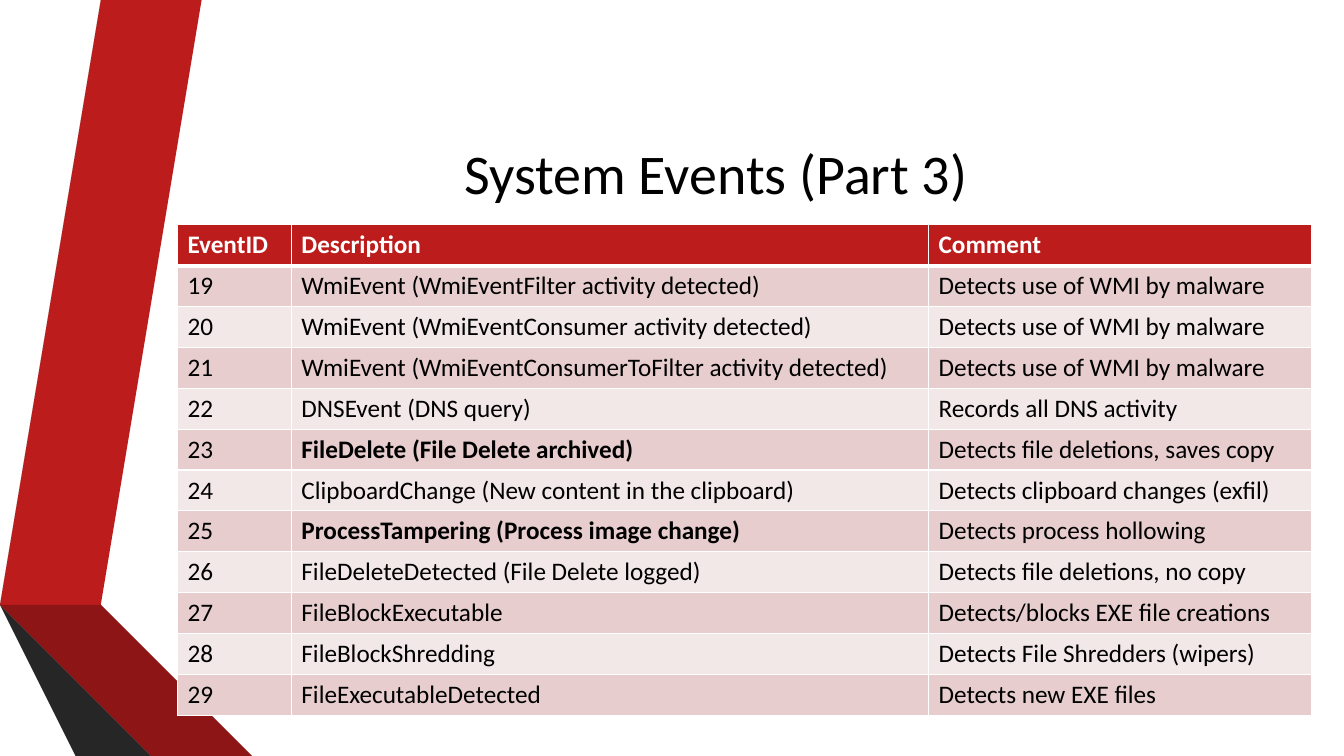
from lxml import etree
from pptx import Presentation
from pptx.dml.color import RGBColor
from pptx.enum.text import MSO_ANCHOR, PP_ALIGN
from pptx.oxml.ns import qn
from pptx.util import Inches, Pt

MIDDLE, CENTER = MSO_ANCHOR.MIDDLE, PP_ALIGN.CENTER
WIDE, HIGH = 13.33, 7.5
FONT = "Calibri"
BLACK, WHITE, RED = "000000", "FFFFFF", "BC1C1C"
BANDS = ("E7CDCD", "F3E8E8")

TITLE = "System Events (Part 3)"
HEADS = ("EventID", "Description", "Comment")
FIRST_ID = 19
EVENTS = [
    ("WmiEvent (WmiEventFilter activity detected)", "Detects use of WMI by malware"),
    ("WmiEvent (WmiEventConsumer activity detected)", "Detects use of WMI by malware"),
    ("WmiEvent (WmiEventConsumerToFilter activity detected)", "Detects use of WMI by malware"),
    ("DNSEvent (DNS query)", "Records all DNS activity"),
    ("FileDelete (File Delete archived)", "Detects file deletions, saves copy"),
    ("ClipboardChange (New content in the clipboard)", "Detects clipboard changes (exfil)"),
    ("ProcessTampering (Process image change)", "Detects process hollowing"),
    ("FileDeleteDetected (File Delete logged)", "Detects file deletions, no copy"),
    ("FileBlockExecutable", "Detects/blocks EXE file creations"),
    ("FileBlockShredding", "Detects File Shredders (wipers)"),
    ("FileExecutableDetected", "Detects new EXE files"),
]
BOLD_IDS = (23, 25)
COLS = (1.13, 6.32, 3.8)
ROW = 4.87 / (len(EVENTS) + 1)

# Ribbon corners in inches; the bands run off the top and bottom edges
RIBBONS = [
    (RED, [(0.5, 5.78), (0.77, 5.83), (1.73, 0), (1.45, 0)]),
    ("595959", [(1.39, 0), (1.11, 0), (0.16, 5.73), (0.44, 5.77)]),
    ("262626", [(0.16, 5.73), (1.45, HIGH), (1.51, HIGH)]),
    ("5E0E0E", [(0.5, 5.79), (2.08, HIGH), (2.14, HIGH)]),
    ("8D1515", [(0.5, 5.78), (2.14, HIGH), (2.83, HIGH), (0.77, 5.83)]),
    ("404040", [(2.02, HIGH), (0.48, 5.83), (0.43, 5.77), (0.16, 5.73), (1.51, HIGH)]),
]


def color(code):
    return RGBColor.from_string(code)


def style(para, size, code, bold=False):
    for run in para.runs:
        font = run.font
        font.name, font.size, font.bold = FONT, Pt(size), bold
        font.color.rgb = color(code)


def add_ribbon(slide, code, points):
    pen = slide.shapes.build_freeform(*points[0], scale=Inches(1))
    pen.add_line_segments(points[1:], close=True)
    shape = pen.convert_to_shape()
    shape.shadow.inherit = False
    shape.fill.solid()
    shape.fill.fore_color.rgb = color(code)
    shape.line.fill.background()


def add_edges(cell, widths):
    """Draw white cell borders, given as a dict of side to points."""
    props = cell._tc.get_or_add_tcPr()
    for side, width in widths.items():
        line = etree.SubElement(props, qn("a:ln" + side), w=str(Pt(width)))
        fill = etree.SubElement(line, qn("a:solidFill"))
        etree.SubElement(fill, qn("a:srgbClr"), val=WHITE)


def fill_cell(cell, text, back, code, bold, top, bottom):
    add_edges(cell, {"L": 1, "R": 1, "T": top, "B": bottom})
    cell.fill.solid()
    cell.fill.fore_color.rgb = color(back)
    cell.text_frame.text = text
    style(cell.text_frame.paragraphs[0], 18, code, bold)


def add_events(slide):
    rows = [(str(FIRST_ID + i), *event) for i, event in enumerate(EVENTS)]
    frame = slide.shapes.add_table(
        len(rows) + 1, len(COLS), Inches(1.76), Inches(2.23),
        Inches(sum(COLS)), Inches(ROW * (len(rows) + 1)))
    table = frame.table
    for col, width in zip(table.columns, COLS):
        col.width = Inches(width)
    for row in table.rows:
        row.height = Inches(ROW)
    for c, head in enumerate(HEADS):
        fill_cell(table.cell(0, c), head, RED, WHITE, True, 1, 3)
    for r, row in enumerate(rows, 1):
        for c, text in enumerate(row):
            bold = c == 1 and int(row[0]) in BOLD_IDS
            fill_cell(table.cell(r, c), text, BANDS[(r - 1) % 2], BLACK,
                      bold, 3 if r == 1 else 1, 1)


def add_title(slide):
    title = slide.shapes.title
    title.left, title.top = Inches(1.62), Inches(0.75)
    title.width, title.height = Inches(10.96), Inches(1.92)
    frame = title.text_frame
    frame.text = TITLE
    frame.vertical_anchor = MIDDLE
    frame.paragraphs[0].alignment = CENTER
    style(frame.paragraphs[0], 40, BLACK)
    slide.shapes._spTree.append(title._element)  # bring above the ribbons


def main():
    deck = Presentation()
    deck.slide_width, deck.slide_height = Inches(WIDE), Inches(HIGH)
    slide = deck.slides.add_slide(deck.slide_layouts[5])
    for code, points in RIBBONS:
        add_ribbon(slide, code, points)
    add_title(slide)
    add_events(slide)
    deck.save("out.pptx")


if __name__ == "__main__":
    main()
